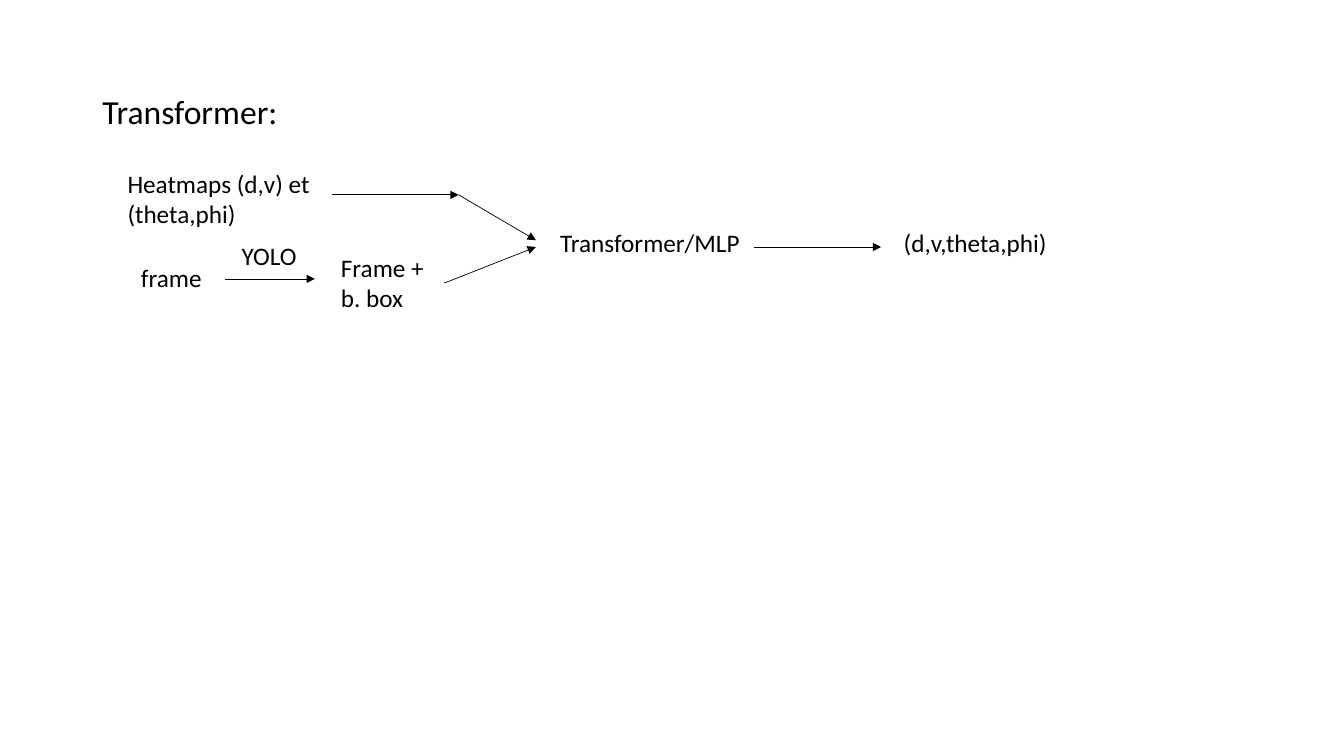
"""Build the Transformer pipeline slide on an 80 by 45 grid."""
from lxml.etree import SubElement
from pptx import Presentation
from pptx.dml.color import RGBColor
from pptx.enum.shapes import MSO_CONNECTOR as CONN
from pptx.enum.text import MSO_ANCHOR as ANCHOR
from pptx.oxml.ns import qn
from pptx.util import Inches, Pt

COLORS = {"ink": "000000", "paper": "FFFFFF"}
COLS, ROWS = 80, 45


class Deck:
    font, body, heading, line = "Calibri", 18, 24, 0.5

    def __init__(self, width, height):
        self.prs = Presentation()
        self.prs.slide_width, self.prs.slide_height = Inches(width), Inches(height)
        self.s = self.prs.slides.add_slide(self.prs.slide_layouts[6])
        fill = self.s.background.fill
        fill.solid()
        fill.fore_color.rgb = self.color("paper")

    def color(self, name):
        return RGBColor.from_string(COLORS[name])

    def at(self, col, row):
        return (round(col * self.prs.slide_width / COLS),
                round(row * self.prs.slide_height / ROWS))

    def text(self, text, col, row, cols, rows, size=body, anchor=ANCHOR.TOP):
        sp = self.s.shapes.add_textbox(*self.at(col, row), *self.at(cols, rows))
        tf = sp.text_frame
        tf.text = text
        tf.word_wrap = True
        tf.vertical_anchor = anchor
        font = tf.paragraphs[0].runs[0].font
        font.name, font.size = self.font, Pt(size)
        font.color.rgb = self.color("ink")
        return tf

    def title(self, text, *box):
        tf = self.text(text, *box, size=self.heading, anchor=ANCHOR.MIDDLE)
        tf.paragraphs[0].line_spacing = 0.9

    def arrow(self, start, end):
        sp = self.s.shapes.add_connector(CONN.STRAIGHT, *self.at(*start), *self.at(*end))
        sp.line.width = Pt(self.line)
        sp.line.color.rgb = self.color("ink")
        SubElement(sp.line._get_or_add_ln(), qn("a:tailEnd"), type="triangle")
        SubElement(sp._element.spPr, qn("a:effectLst"))


deck = Deck(13.33, 7.5)
one_line, two_lines = 2.4, 4.25
top, middle, bottom = 11.6, 14.7, 16.6
bend, merge = 27.3, 31.9

deck.title("Transformer:", 5.5, 2.4, 69, 8.7)
for label in [
    ("Heatmaps (d,v) et (theta,phi)", 7, 9.7, 12.75, two_lines),
    ("frame", 7.8, 15.3, 11.95, one_line),
    ("YOLO", 13.8, 14, 5, one_line),
    ("Frame + b. box", 19.7, 14.7, 6.75, two_lines),
    ("Transformer/MLP", 32.75, 13.25, 12.1, one_line),
    ("(d,v,theta,phi)", 53.2, 13.25, 10.8, one_line),
]:
    deck.text(*label)

for start, end in [
    ((19.75, top), (bend, top)),
    ((bend, top), (merge, 14.3)),
    ((13.4, bottom), (18.75, bottom)),
    ((26.45, 16.85), (merge, middle)),
    ((44.9, middle), (52.45, middle)),
]:
    deck.arrow(start, end)

deck.prs.save("out.pptx")
